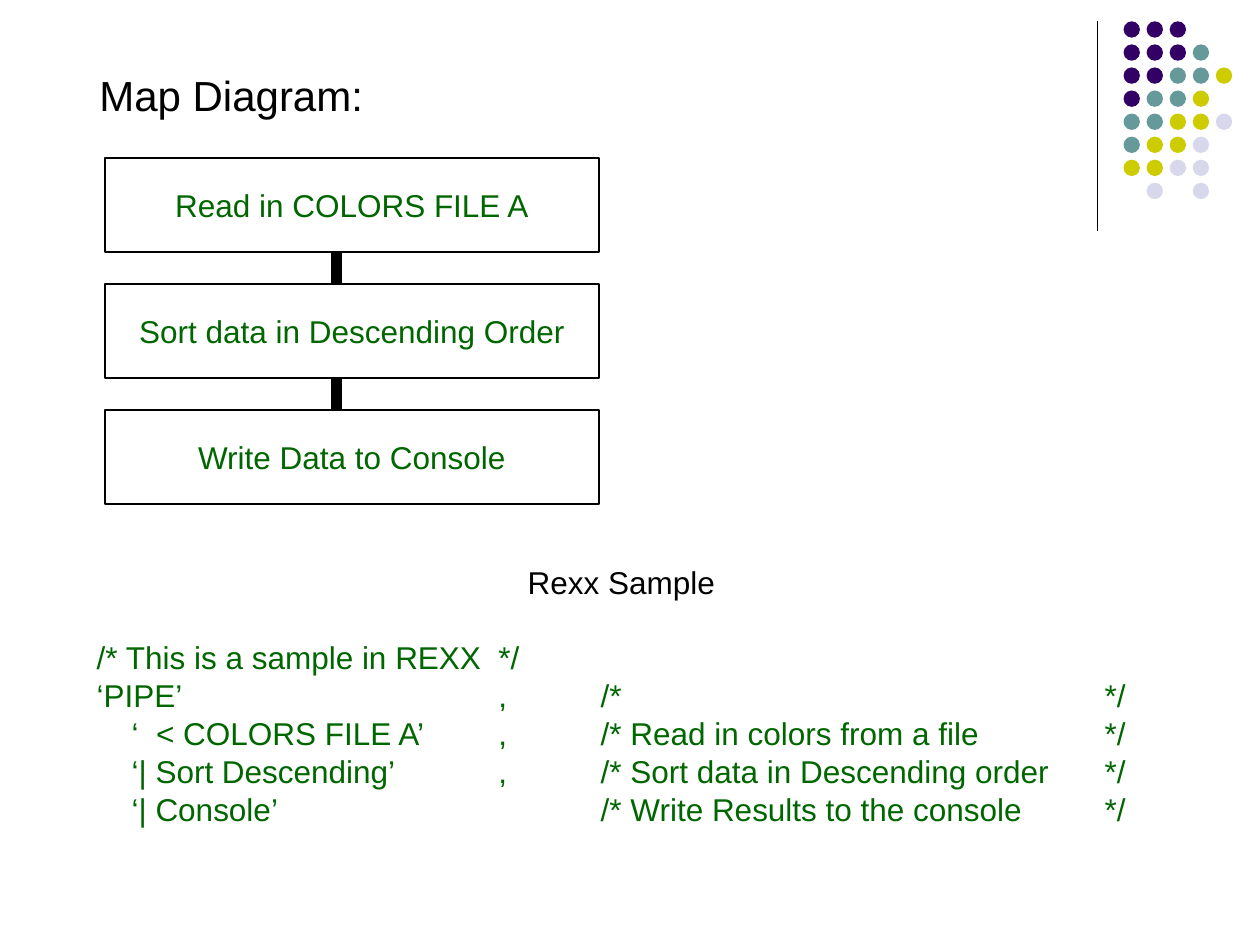
from lxml.etree import SubElement
from pptx import Presentation
from pptx.dml.color import RGBColor
from pptx.enum.shapes import MSO_CONNECTOR, MSO_SHAPE
from pptx.enum.text import MSO_ANCHOR, PP_ALIGN
from pptx.oxml.ns import qn
from pptx.util import Cm, Pt

BLACK, WHITE, GREEN = "000000", "FFFFFF", "006600"
DOT_COLORS = {"P": "330066", "T": "669999", "Y": "CCCC00", "L": "D8D8EC"}
DOT_ROWS = ["PPP", "PPPT", "PPTTY", "PTTY", "TTYYL", "TYYL", "YYLL", " L L"]
STEPS = ["Read in COLORS FILE A", "Sort data in Descending Order",
         "Write Data to Console"]
CODE_TABS = [8.1, 10.16, 20.32]
CODE = [
    "/* This is a sample in REXX  */",
    "‘PIPE’\t,\t/*\t*/",
    "    ‘  < COLORS FILE A’\t,\t/* Read in colors from a file\t*/",
    "    ‘| Sort Descending’\t,\t/* Sort data in Descending order\t*/",
    "    ‘| Console’\t\t/* Write Results to the console\t*/",
]


def rgb(color):
    """Turn a hex string into a colour."""
    return RGBColor.from_string(color)


def add_line(slide, x, top, bottom, width):
    """Add a vertical black line."""
    line = slide.shapes.add_connector(
        MSO_CONNECTOR.STRAIGHT, Cm(x), Cm(top), Cm(x), Cm(bottom))
    line.line.color.rgb = rgb(BLACK)
    line.line.width = Pt(width)
    SubElement(line._element.spPr, qn("a:effectLst"))


def add_filled(slide, kind, x, y, w, h, color):
    """Add a filled shape without outline or shadow."""
    sp = slide.shapes.add_shape(kind, Cm(x), Cm(y), Cm(w), Cm(h))
    sp.shadow.inherit = False
    sp.fill.solid()
    sp.fill.fore_color.rgb = rgb(color)
    sp.line.fill.background()
    return sp


def add_dots(slide):
    """Add the grid of coloured dots in the corner."""
    for row, keys in enumerate(DOT_ROWS):
        for col, key in enumerate(keys):
            if key in DOT_COLORS:
                add_filled(slide, MSO_SHAPE.OVAL, 22.65 + 0.465 * col,
                           0.43 + 0.465 * row, 0.33, 0.33, DOT_COLORS[key])


def set_text(p, text, size, color, align=PP_ALIGN.CENTER):
    """Write a paragraph in one font."""
    p.text = text
    p.alignment = align
    p.font.name = "Arial"
    p.font.size = Pt(size)
    p.font.color.rgb = rgb(color)


def add_step(slide, y, text):
    """Add an outlined box holding one step."""
    sp = add_filled(slide, MSO_SHAPE.RECTANGLE, 2.12, y, 9.95, 1.9, WHITE)
    sp.line.color.rgb = rgb(BLACK)
    sp.line.width = Pt(1)
    tf = sp.text_frame
    tf.word_wrap = False
    tf.vertical_anchor = MSO_ANCHOR.MIDDLE
    set_text(tf.paragraphs[0], text, 18, GREEN)


def add_text_box(slide, x, y, w, h):
    """Add a wrapping text box and return its frame."""
    tf = slide.shapes.add_textbox(Cm(x), Cm(y), Cm(w), Cm(h)).text_frame
    tf.word_wrap = True
    return tf


def add_tabs(p, stops):
    """Give a paragraph left tab stops."""
    tabs = SubElement(p._p.get_or_add_pPr(), qn("a:tabLst"))
    for stop in stops:
        SubElement(tabs, qn("a:tab"), pos=str(Cm(stop)), algn="l")


def add_sample(slide):
    """Add the code sample under its heading."""
    tf = add_text_box(slide, 1.7, 11.22, 21.65, 6.35)
    heading = tf.paragraphs[0]
    set_text(heading, "Rexx Sample", 18, BLACK)
    heading.space_after = Pt(21.6)
    for text in CODE:
        p = tf.add_paragraph()
        add_tabs(p, CODE_TABS)
        set_text(p, text, 18, GREEN, PP_ALIGN.LEFT)
    for p in tf.paragraphs:
        p.line_spacing = Pt(21.6)


def main():
    """Build the slide and save it."""
    prs = Presentation()
    prs.slide_width, prs.slide_height = Cm(25.4), Cm(19.05)
    slide = prs.slides.add_slide(prs.slide_layouts[6])
    add_line(slide, 22.12, 0.43, 4.65, 0.75)
    add_dots(slide)
    add_sample(slide)
    for i, text in enumerate(STEPS):
        y = 3.18 + 2.54 * i
        add_step(slide, y, text)
        if i:
            add_line(slide, 6.78, y - 0.64, y, 6)
    title = add_text_box(slide, 1.27, 1.27, 6.78, 1.27)
    set_text(title.paragraphs[0], "Map Diagram:", 24, BLACK)
    prs.save("out.pptx")


if __name__ == "__main__":
    main()
